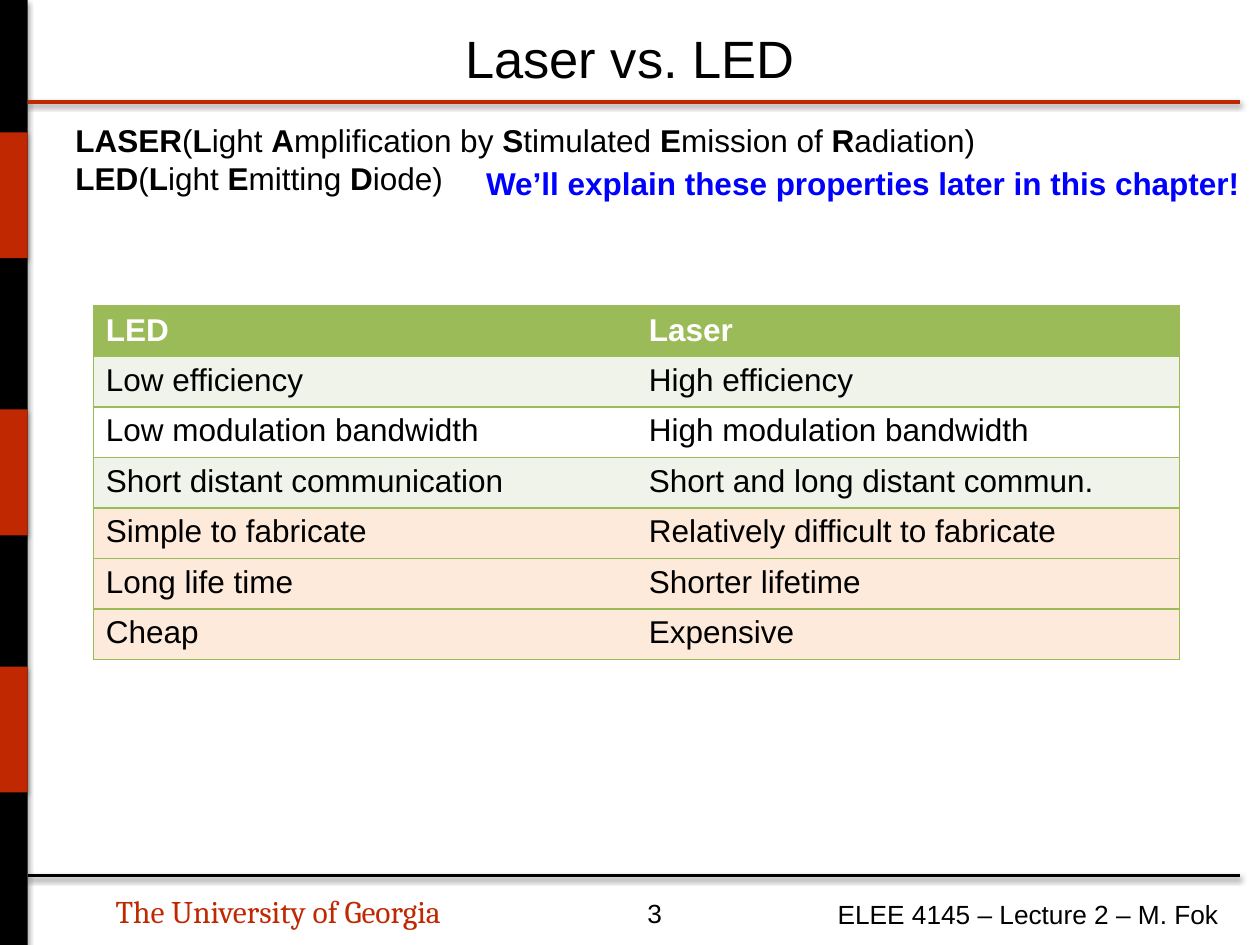
import pptx
import pptx.dml.color
import pptx.enum.shapes
import pptx.enum.text
import pptx.oxml
import pptx.oxml.ns
import pptx.util
from pptx.util import Inches

COLORS = {
    "black": "000000", "red": "C02802", "blue": "0000FF", "white": "FFFFFF",
    "green": "9BBB59", "pale_green": "EFF3EA", "peach": "FDEADA",
}
ACRONYMS = [
    ["LASER", "(", "L", "ight ", "A", "mplification by ", "S", "timulated ",
     "E", "mission of ", "R", "adiation)"],
    ["LED", "(", "L", "ight ", "E", "mitting ", "D", "iode)"],
]
COMPARISON = [
    ("LED", "Laser", "green"),
    ("Low efficiency", "High efficiency", "pale_green"),
    ("Low modulation bandwidth", "High modulation bandwidth", "white"),
    ("Short distant communication", "Short and long distant commun.", "pale_green"),
    ("Simple to fabricate", "Relatively difficult to fabricate", "peach"),
    ("Long life time", "Shorter lifetime", "peach"),
    ("Cheap", "Expensive", "peach"),
]


def rgb(color):
    return pptx.dml.color.RGBColor.from_string(COLORS[color])


def style_font(font, size, color="black", bold=False, name="Arial"):
    font.name, font.size, font.bold = name, pptx.util.Pt(size), bold
    font.color.rgb = rgb(color)


def add_shadow(shape, alpha, distance):
    """Append a soft downward shadow; call after fill and line are set."""
    shape._element.spPr.append(pptx.oxml.parse_xml(
        f'<a:effectLst {pptx.oxml.ns.nsdecls("a")}>'
        f'<a:outerShdw blurRad="{pptx.util.Pt(3.1)}" dist="{pptx.util.Pt(distance)}" '
        'dir="5400000" rotWithShape="0">'
        f'<a:srgbClr val="{COLORS["black"]}"><a:alpha val="{alpha * 1000}"/></a:srgbClr>'
        '</a:outerShdw></a:effectLst>'))


def add_block(slide, left, top, width, height, color):
    block = slide.shapes.add_shape(
        pptx.enum.shapes.MSO_SHAPE.RECTANGLE, left, top, width, height)
    block.fill.solid()
    block.fill.fore_color.rgb = rgb(color)
    block.line.fill.background()
    add_shadow(block, 35, 1.8)


def add_side_bar(slide, left, top, width, height):
    add_block(slide, left, top, width, height, "black")
    for offset in (1.05, 3.25, 5.29):
        add_block(slide, left, top + Inches(offset), width, Inches(1), "red")


def add_rule(slide, left, top, width, color):
    rule = slide.shapes.add_connector(
        pptx.enum.shapes.MSO_CONNECTOR.STRAIGHT, left, top, left + width, top)
    rule.line.color.rgb = rgb(color)
    rule.line.width = pptx.util.Pt(2)
    add_shadow(rule, 38, 1.6)


def add_text_frame(slide, left, top, width, height, wrap=False):
    frame = slide.shapes.add_textbox(left, top, width, height).text_frame
    frame.word_wrap = wrap
    return frame


def add_label(slide, left, top, width, height, text, size, **font_style):
    frame = add_text_frame(slide, left, top, width, height)
    frame.text = text
    style_font(frame.paragraphs[0].runs[0].font, size, **font_style)
    return frame


def add_title(slide, left, top, width, height):
    title = add_label(slide, left, top, width, height, "Laser vs. LED", 30)
    title.word_wrap = True
    title.vertical_anchor = pptx.enum.text.MSO_ANCHOR.MIDDLE
    title.paragraphs[0].alignment = pptx.enum.text.PP_ALIGN.CENTER


def add_acronyms(slide, left, top, width, height):
    """Spell out each acronym, alternating bold and plain pieces."""
    frame = add_text_frame(slide, left, top, width, height, wrap=True)
    for index, pieces in enumerate(ACRONYMS):
        line = frame.add_paragraph() if index else frame.paragraphs[0]
        for position, piece in enumerate(pieces):
            run = line.add_run()
            run.text = piece
            style_font(run.font, 18, bold=position % 2 == 0)


def set_borders(cell, visible_sides):
    properties = cell._tc.get_or_add_tcPr()
    for side in "LRTB":
        fill = (f'<a:solidFill><a:srgbClr val="{COLORS["green"]}"/></a:solidFill>'
                if side in visible_sides else "<a:noFill/>")
        properties.append(pptx.oxml.parse_xml(
            f'<a:ln{side} {pptx.oxml.ns.nsdecls("a")} w="{pptx.util.Pt(1)}">'
            f'{fill}</a:ln{side}>'))


def add_comparison(slide, left, top, width, height):
    table = slide.shapes.add_table(
        len(COMPARISON), 2, left, top, width, height).table
    for row, (led, laser, color) in enumerate(COMPARISON):
        for column, text in enumerate((led, laser)):
            cell = table.cell(row, column)
            cell.text = text
            set_borders(cell, "TB" + "LR"[column])
            cell.fill.solid()
            cell.fill.fore_color.rgb = rgb(color)
            style_font(cell.text_frame.paragraphs[0].runs[0].font, 18,
                       "black" if row else "white", bold=row == 0)


def add_footer(slide, left, top, width):
    add_rule(slide, left, top, width, "black")
    add_label(slide, left + Inches(0.6), top + Inches(0.08), Inches(3.06), Inches(0.4),
              "The University of Georgia", 18, color="red", name="Cambria")
    add_label(slide, left + Inches(4.82), top + Inches(0.12), Inches(0.46), Inches(0.35),
              "3", 15)
    add_label(slide, left + Inches(6.33), top + Inches(0.13), Inches(3.25), Inches(0.35),
              "ELEE 4145 – Lecture 2 – M. Fok", 15)


def main():
    deck = pptx.Presentation()
    deck.slide_width, deck.slide_height = Inches(10), Inches(7.5)
    slide = deck.slides.add_slide(deck.slide_layouts[6])
    bar_width, rule_width = Inches(0.22), Inches(9.62)

    add_side_bar(slide, 0, 0, bar_width, deck.slide_height)
    add_rule(slide, bar_width, Inches(0.81), rule_width, "red")
    add_footer(slide, bar_width, Inches(6.95), rule_width)
    add_title(slide, Inches(0.5), Inches(0.2), Inches(9), Inches(0.51))
    add_acronyms(slide, Inches(0.5), Inches(0.91), Inches(9.1), Inches(0.71))
    add_comparison(slide, Inches(0.74), Inches(2.43), Inches(8.62), Inches(2.8))
    add_label(slide, Inches(3.76), Inches(1.25), Inches(6.24), Inches(0.4),
              "We’ll explain these properties later in this chapter!", 18,
              color="blue", bold=True)
    deck.save("out.pptx")


if __name__ == "__main__":
    main()
